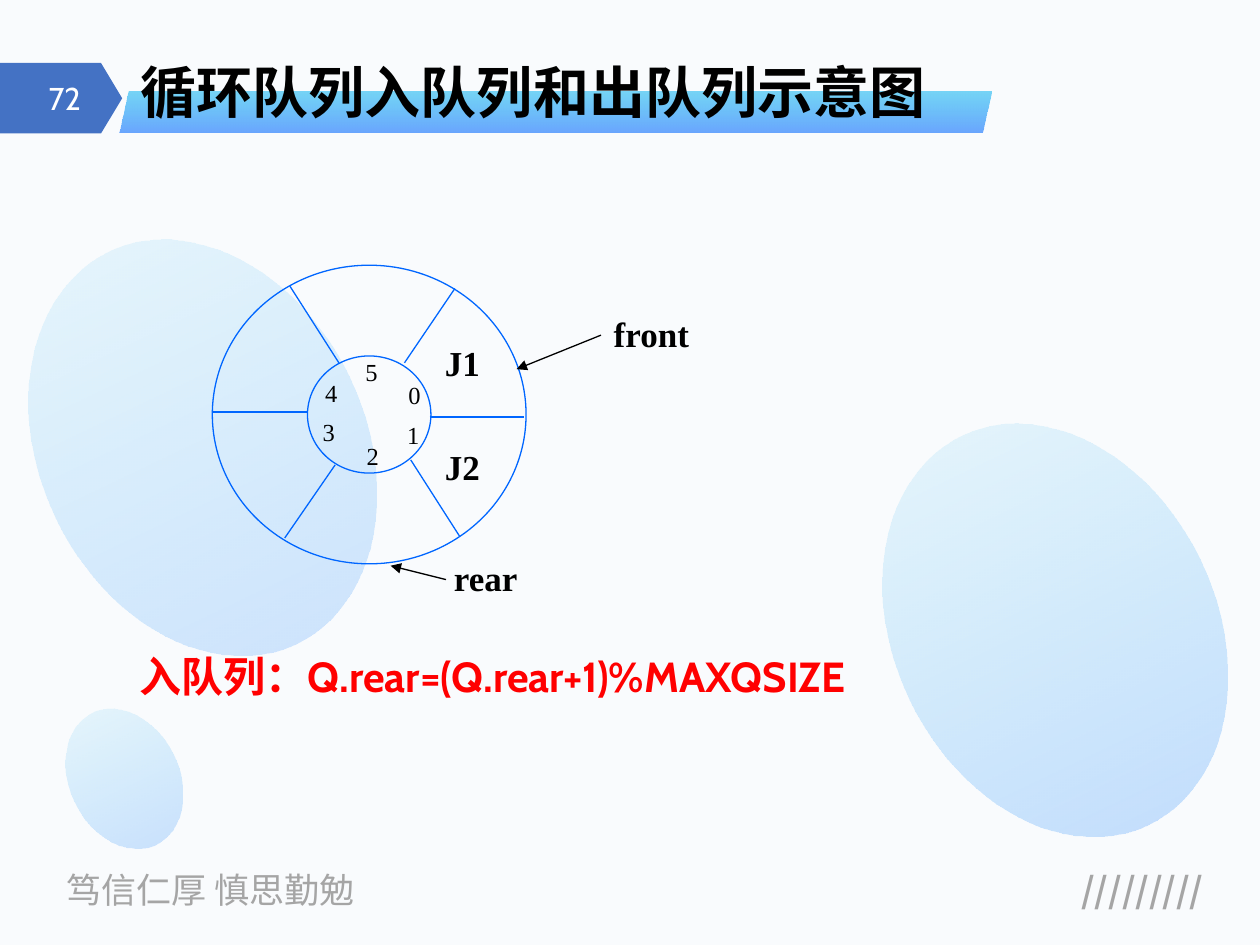
from lxml.etree import SubElement as Sub
from pptx import Presentation
from pptx.dml.color import RGBColor as RGB
from pptx.enum.shapes import MSO_CONNECTOR as Conn, MSO_SHAPE as Geo
from pptx.enum.text import MSO_ANCHOR as Anchor, PP_ALIGN as Align
from pptx.oxml.ns import qn
from pptx.util import Inches, Pt

HUE = {"back": "F9FBFD", "grey": "A5A5A5", "blue": "3385FF", "cyan": "00B0F0",
       "tag": "4472C4", "ring": "0066FF", "black": "000000", "red": "FF0000",
       "white": "FFFFFF"}
HAN, SANS, SERIF = "Noto Sans CJK SC", "Cabin", "Times New Roman"


def tint(name):
    return RGB.from_string(HUE[name])


def place(box):
    return [Inches(n) for n in box]


def write(slide, box, text, size, font, hue, bold=False, align=Align.LEFT,
          mid=Anchor.TOP, space=None):
    frame = slide.shapes.add_textbox(*place(box)).text_frame
    frame.word_wrap = True
    frame.vertical_anchor = mid
    para = frame.paragraphs[0]
    para.alignment = align
    if space:
        para.line_spacing = space
    run = para.add_run()
    run.text = text
    run.font.size = Pt(size)
    run.font.bold = bold
    run.font.color.rgb = tint(hue)
    run.font.name = font
    Sub(run.font._element, qn("a:ea"), typeface=HAN)
    return frame


def label(slide, box, text, size, bold=False, mid=Anchor.MIDDLE):
    frame = write(slide, box, text, size, SERIF, "black", bold, Align.CENTER,
                  mid)
    frame.word_wrap = False
    frame.margin_left = frame.margin_right = 0


def shape(slide, geo, box):
    item = slide.shapes.add_shape(geo, *place(box))
    item.shadow.inherit = False
    item.line.fill.background()
    return item


def fade(item, stops):
    item.fill.gradient()
    item.fill.gradient_angle = 270
    for stop, (hue, _) in zip(item.fill.gradient_stops, stops):
        stop.color.rgb = tint(hue)
    grad = item.element.spPr.find(qn("a:gradFill"))
    for node, (_, alpha) in zip(grad.iter(qn("a:srgbClr")), stops):
        Sub(node, qn("a:alpha"), val=str(alpha * 1000))


def link(slide, start, end, hue, arrow=False):
    line = slide.shapes.add_connector(Conn.STRAIGHT, *place(start + end))
    line.line.color.rgb = tint(hue)
    line.line.width = Pt(0.75)
    if arrow:
        Sub(line.line._get_or_add_ln(), qn("a:tailEnd"), type="triangle")
    Sub(line.element.spPr, qn("a:effectLst"))


def decor(slide):
    slide.background.fill.solid()
    slide.background.fill.fore_color.rgb = tint("back")
    write(slide, (0.43, 6.84, 2.7, 0.44), "笃信仁厚 慎思勤勉", 20, HAN, "grey")
    write(slide, (7.67, 6.84, 1.98, 0.44), "/////////", 20, HAN, "grey", True,
          Align.RIGHT)
    for box, alpha in (((0.55, 5.6, 0.87, 1.16), 24),
                       ((7.09, 3.29, 2.56, 3.42), 27),
                       ((0.32, 1.83, 2.58, 3.44), 22)):
        oval = shape(slide, Geo.OVAL, box)
        oval.rotation = 154.4
        fade(oval, (("blue", alpha), ("cyan", 8)))


def header(slide, x, y):
    tag = shape(slide, Geo.PENTAGON, (x, y, 0.97, 0.56))
    tag.adjustments[0] = 0.3
    tag.fill.solid()
    tag.fill.fore_color.rgb = tint("tag")
    write(slide, (x + 0.1, y + 0.08, 0.64, 0.4), "72", 18, SANS, "white",
          align=Align.RIGHT, mid=Anchor.MIDDLE)
    bar = shape(slide, Geo.PARALLELOGRAM, (x + 0.95, y + 0.23, 6.92, 0.32))
    bar.adjustments[0] = 0.233
    fade(bar, (("cyan", 52), ("blue", 73)))
    write(slide, (x + 1.02, y - 0.1, 7.6, 0.65), "循环队列入队列和出队列示意图",
          32, HAN, "black", True, mid=Anchor.BOTTOM, space=0.9)


def queue(slide, x, y):
    for wide, high in ((2.49, 2.37), (0.98, 0.93)):
        oval = shape(slide, Geo.OVAL, (x - wide / 2, y - high / 2, wide, high))
        oval.fill.background()
        oval.line.color.rgb = tint("ring")
        oval.line.width = Pt(0.75)

    def spot(dx, dy):
        return x + dx, y + dy

    spokes = (((-1.25, -0.02), (-0.49, -0.02)), ((0.48, 0.02), (1.23, 0.02)),
              ((-0.63, -1.02), (-0.24, -0.41)), ((0.33, 0.36), (0.72, 0.97)),
              ((0.68, -1), (0.28, -0.41)), ((-0.27, 0.4), (-0.67, 0.98)))
    for start, end in spokes:
        link(slide, spot(*start), spot(*end), "ring")

    cells = ((0.36, -0.16), (0.35, 0.16), (0.03, 0.33),
             (-0.32, 0.14), (-0.3, -0.17), (0.02, -0.34))
    for num, (dx, dy) in enumerate(cells):
        label(slide, spot(dx - 0.15, dy - 0.18) + (0.3, 0.36), str(num), 14)

    for job, dy in (("J1", -0.63), ("J2", 0.2)):
        label(slide, spot(0.5, dy) + (0.48, 0.43), job, 20, True, Anchor.TOP)

    marks = (("rear", (0.61, 1.06), 0.63, (0.61, 1.31), (0.17, 1.2)),
             ("front", (1.87, -0.88), 0.74, (1.84, -0.63), (1.17, -0.36)))
    for name, at, wide, start, end in marks:
        link(slide, spot(*start), spot(*end), "black", True)
        label(slide, spot(*at) + (wide, 0.47), name, 20, True)


def main():
    deck = Presentation()
    deck.slide_width, deck.slide_height = Inches(10), Inches(7.5)
    slide = deck.slides.add_slide(deck.slide_layouts[6])
    decor(slide)
    header(slide, 0, 0.5)
    queue(slide, 2.93, 3.29)
    write(slide, (1.01, 5.16, 7.97, 0.46), "入队列：Q.rear=(Q.rear+1)%MAXQSIZE",
          24, SANS, "red", True, space=0.9)
    deck.save("out.pptx")


if __name__ == "__main__":
    main()
